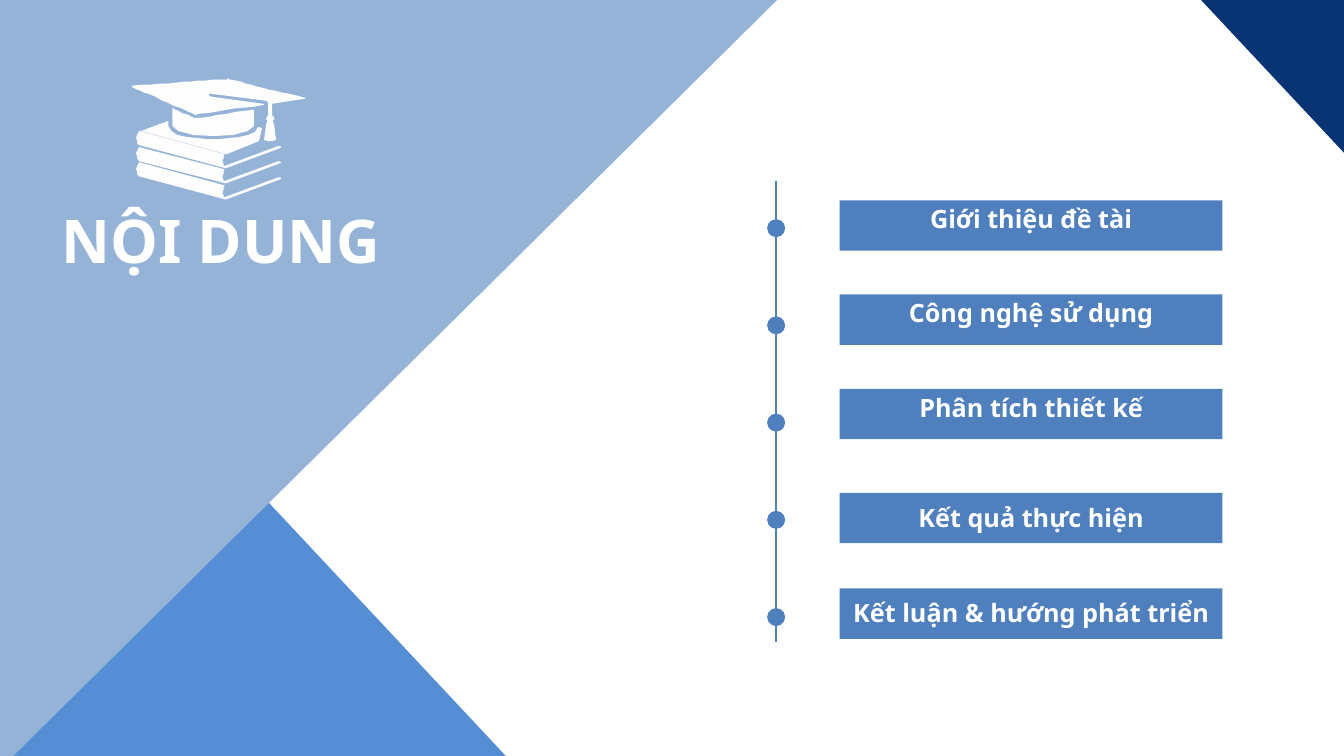
from pptx import Presentation
from pptx.dml.color import RGBColor
from pptx.enum import shapes, text
from pptx.oxml import ns, xmlchemy
from pptx.util import Cm, Pt

WHITE = RGBColor(0xFF, 0xFF, 0xFF)
ICON = RGBColor(0xFE, 0xFE, 0xFE)
BLUE = RGBColor(0x4F, 0x80, 0xBD)
LINE = RGBColor(0x4F, 0x81, 0xBD)
MID = RGBColor(0x55, 0x8E, 0xD5)
LIGHT = RGBColor(0x95, 0xB3, 0xD7)
NAVY = RGBColor(0x08, 0x34, 0x73)
FONT = "Noto Sans"

TITLE = "NỘI DUNG"
AGENDA = [
    ("Giới thiệu đề tài", 5.05, 1.0),
    ("Công nghệ sử dụng", 7.42, 1.0),
    ("Phân tích thiết kế", 9.8, 1.0),
    ("Kết quả thực hiện", 12.42, 1.2),
    ("Kết luận & hướng phát triển", 14.83, 1.2),
]
PANELS = [
    (-12.47, 12.7, 226.9, MID),
    (-12.5, -5.56, 315.3, LIGHT),
    (25.83, -11.13, 226.9, NAVY),
]
PANEL_W, PANEL_H = 30.56, 18.44
BAR_X, BAR_W, BAR_H = 21.16, 9.65, 1.27
AXIS_X, AXIS_TOP, AXIS_END = 19.56, 4.55, 16.18
DOT, DOT_TOP, DOT_STEP = 0.38, 5.56, 2.45

# two numbers: straight segment; six numbers: cubic curve
BOOK = [(222, 165), (221, 161, 221, 157, 223, 153), (138, 130),
        (135, 134, 134, 139, 138, 144), (224, 167), (278, 147),
        (279, 146, 279, 145, 277, 145), (276, 145)]
BOOK_SHIFTS = [0, 15.5, 31]
COVER = [(225, 153), (257, 140), (260, 127), (256, 126),
         (254, 137, 221, 138, 212, 138), (202, 138, 167, 137, 167, 125),
         (167, 120), (140, 130)]
BOARD = [(266, 102), (266, 115), (265, 115, 265, 116, 265, 116), (264, 118),
         (264, 119, 265, 119, 265, 120), (265, 122),
         (265, 122, 264, 123, 264, 124), (262, 139),
         (263, 140, 273, 140, 274, 139), (272, 124),
         (272, 123, 271, 122, 271, 122), (271, 120),
         (271, 119, 272, 119, 272, 118), (272, 116),
         (272, 116, 271, 115, 270, 115), (270, 103), (302, 98),
         (303, 98, 303, 97, 302, 97), (287, 93, 273, 90, 260, 87),
         (249, 84, 238, 81, 229, 79), (227, 78, 226, 78, 224, 79),
         (211, 79, 197, 80, 183, 81), (167, 83, 150, 84, 132, 85),
         (131, 85, 131, 86, 132, 87), (139, 90, 147, 93, 156, 97),
         (166, 102, 178, 107, 192, 113), (193, 114, 195, 114, 197, 113),
         (219, 110, 240, 107, 262, 104), (262, 103, 262, 103, 261, 103),
         (210, 96), (206, 95, 207, 93, 209, 93), (264, 100),
         (265, 101, 266, 101, 266, 102)]
CAP = [(252, 109), (252, 125), (252, 138, 171, 138, 171, 125), (171, 107),
       (177, 110, 183, 113, 190, 116), (192, 117, 195, 117, 198, 117),
       (216, 114, 234, 111, 252, 109)]
CURVE_STEPS = 6


def flatten(outline, dy=0):
    points = [outline[0]]
    for seg in outline[1:]:
        if len(seg) == 2:
            points.append(seg)
            continue
        ctrl = [points[-1], seg[:2], seg[2:4], seg[4:]]
        for k in range(1, CURVE_STEPS + 1):
            t = k / CURVE_STEPS
            weights = ((1 - t) ** 3, 3 * t * (1 - t) ** 2, 3 * t * t * (1 - t), t ** 3)
            points.append(tuple(sum(w * c[a] for w, c in zip(weights, ctrl)) for a in (0, 1)))
    return [(x, y + dy) for x, y in points]


def paint(sp, color):
    sp.shadow.inherit = False
    sp.fill.solid()
    sp.fill.fore_color.rgb = color
    sp.line.fill.background()


def add_filled(s, kind, x, y, w, h, color):
    sp = s.shapes.add_shape(kind, Cm(x), Cm(y), Cm(w), Cm(h))
    paint(sp, color)
    return sp


def write(sp, words, size, align, spacing=1.0):
    tf = sp.text_frame
    tf.text = words
    tf.vertical_anchor = text.MSO_ANCHOR.TOP
    tf.margin_top = tf.margin_bottom = Cm(0.08)
    p = tf.paragraphs[0]
    p.alignment = align
    p.line_spacing = spacing
    p.space_before = Pt(0)
    font = p.runs[0].font
    font.name, font.size, font.bold = FONT, Pt(size), True
    font.color.rgb = WHITE
    return tf


def add_icon(s):
    outlines = [flatten(BOOK, dy) for dy in BOOK_SHIFTS]
    outlines += [flatten(part) for part in (COVER, BOARD, CAP)]
    builder = s.shapes.build_freeform(*outlines[0][0], scale=Cm(2.54) / 100)
    for i, points in enumerate(outlines):
        if i:
            builder.move_to(*points[0])
        builder.add_line_segments(points[1:], close=True)
    paint(builder.convert_to_shape(), ICON)


def main():
    prs = Presentation()
    prs.slide_width, prs.slide_height = Cm(33.87), Cm(19.05)
    s = prs.slides.add_slide(prs.slide_layouts[5])
    rect = shapes.MSO_SHAPE.RECTANGLE

    for x, y, angle, color in PANELS:
        panel = add_filled(s, rect, x, y, PANEL_W, PANEL_H, color)
        panel.rotation = angle

    title = s.shapes.title
    panel.element.addnext(title.element)
    title.left, title.top, title.width, title.height = Cm(1.19), Cm(5.05), Cm(8.64), Cm(2.08)
    tf = write(title, TITLE, 43, text.PP_ALIGN.RIGHT)
    tf.word_wrap = False
    tf.auto_size = text.MSO_AUTO_SIZE.NONE

    add_icon(s)

    axis = s.shapes.add_connector(shapes.MSO_CONNECTOR.STRAIGHT,
                                  Cm(AXIS_X), Cm(AXIS_TOP), Cm(AXIS_X), Cm(AXIS_END))
    axis.line.color.rgb = LINE
    axis.line.width = Pt(1)
    axis.element.spPr.append(xmlchemy.OxmlElement("a:effectLst"))

    for i, (words, top, spacing) in enumerate(AGENDA):
        dot = add_filled(s, shapes.MSO_SHAPE.OVAL, AXIS_X - DOT / 2,
                         DOT_TOP + i * DOT_STEP, DOT, DOT, BLUE)
        dot.line.color.rgb = BLUE
        dot.line.width = Pt(2)
        bar = add_filled(s, rect, BAR_X, top, BAR_W, BAR_H, BLUE)
        write(bar, words, 18, text.PP_ALIGN.CENTER, spacing).word_wrap = True

    prs.save("out.pptx")


if __name__ == "__main__":
    main()
